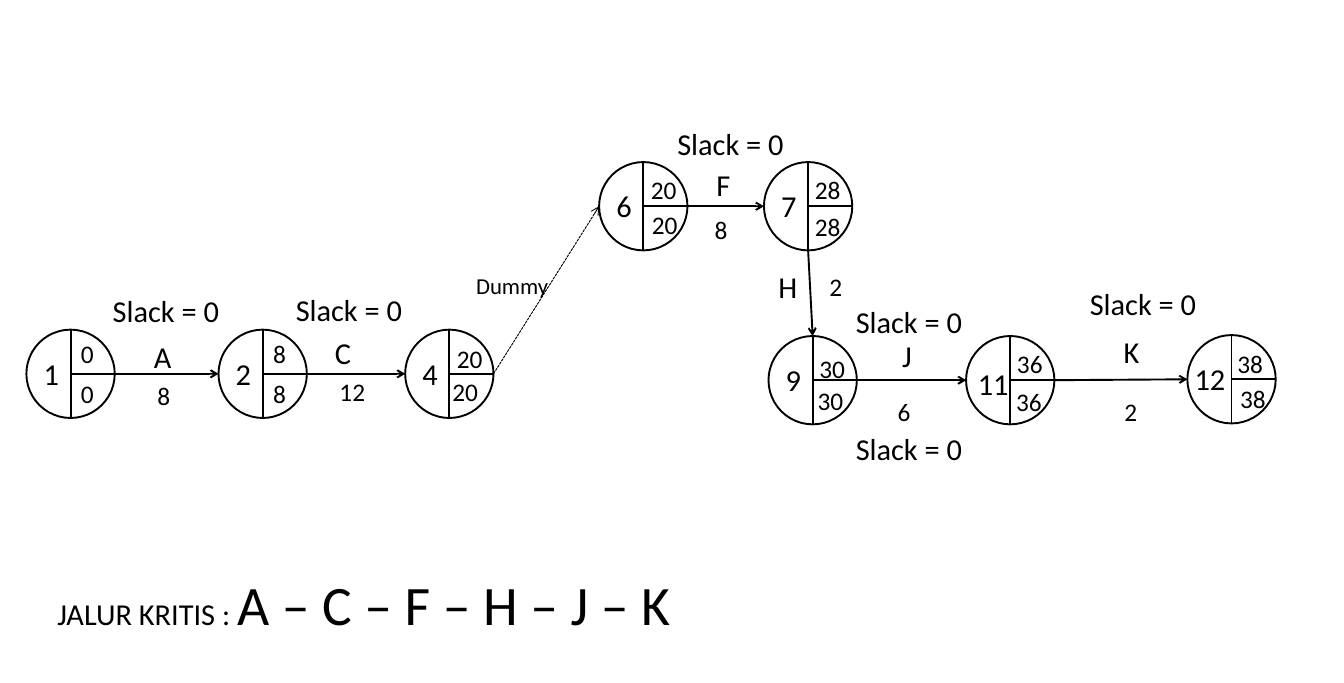
"""Draws the critical path network of a project on one slide."""
from lxml import etree
from pptx import Presentation
from pptx.dml.color import RGBColor
from pptx.enum.dml import MSO_LINE
from pptx.enum.shapes import MSO_CONNECTOR, MSO_SHAPE
from pptx.enum.text import MSO_ANCHOR, MSO_AUTO_SIZE, PP_ALIGN
from pptx.oxml.ns import qn
from pptx.util import Inches, Pt

STRAIGHT = MSO_CONNECTOR.STRAIGHT
ELLIPSE = MSO_SHAPE.OVAL
DASHED = MSO_LINE.SQUARE_DOT
TOP = MSO_ANCHOR.TOP
GROW = MSO_AUTO_SIZE.SHAPE_TO_FIT_TEXT
LEFT = PP_ALIGN.LEFT
TITLE_ONLY = 5
DIAMETER = 0.97
RADIUS = DIAMETER / 2

# number: (left, top, time, number offset, earliest offset, latest offset)
EVENTS = {
    1: (0.29, 3.62, 0, (0.09, 0.23), (0.5, 0.04), (0.5, 0.48)),
    2: (2.4, 3.62, 8, (0.09, 0.23), (0.5, 0.04), (0.5, 0.48)),
    4: (4.45, 3.62, 20, (0.09, 0.23), (0.47, 0.1), (0.42, 0.46)),
    6: (6.58, 1.78, 20, (0.09, 0.23), (0.47, 0.08), (0.48, 0.47)),
    7: (8.39, 1.78, 28, (0.09, 0.23), (0.46, 0.08), (0.46, 0.49)),
    9: (8.44, 3.69, 30, (0.09, 0.23), (0.46, 0.14), (0.44, 0.49)),
    11: (10.61, 3.69, 36, (0.03, 0.27), (0.46, 0.08), (0.45, 0.5)),
    12: (13.04, 3.68, 38, (-0.02, 0.23), (0.45, 0.09), (0.48, 0.48)),
}
# activity: (from, to, duration, name place, duration place)
ACTIVITIES = {
    "A": (1, 2, 8, (1.59, 3.66), (1.63, 4.13)),
    "C": (2, 4, 12, (3.58, 3.62), (3.63, 4.08)),
    "F": (6, 7, 8, (7.77, 1.78), (7.75, 2.3)),
    "H": (7, 9, 2, (8.45, 2.89), (9.01, 2.93)),
    "J": (9, 11, 6, (9.81, 3.65), (9.76, 4.3)),
    "K": (11, 12, 2, (12.24, 3.61), (12.25, 4.3)),
}
SLACKS = [(1.14, 3.16), (3.15, 3.15), (7.34, 1.33),
          (9.3, 4.68), (11.87, 3.08), (9.3, 3.28)]


def color(hex_code):
    """Turn a hex string into a colour."""
    return RGBColor.from_string(hex_code)


class NetworkSlide:
    """Holds the slide and the style of the network diagram."""

    font = "Calibri"
    ink = "000000"

    def __init__(self, slide):
        """Keep the slide to draw on."""
        self.slide = slide

    def style(self, font, size):
        """Apply the common typeface and colour."""
        font.name = self.font
        font.size = Pt(size)
        font.color.rgb = color(self.ink)

    def label(self, text, place, size, width=None):
        """Write a left-aligned label, sized by its length unless given a width."""
        text = str(text)
        width = width or (0.31 if len(text) == 1 else 0.56)
        height = size / 60 + 0.1
        box = self.slide.shapes.add_textbox(
            *map(Inches, (*place, width, height)))
        frame = box.text_frame
        frame.word_wrap = True
        frame.auto_size = GROW
        paragraph = frame.paragraphs[0]
        paragraph.text = text
        self.style(paragraph.font, size)

    def line(self, start, end, weight=1.5, arrow=False, dash=None):
        """Draw a straight line, with an arrowhead at its end if asked."""
        connector = self.slide.shapes.add_connector(
            STRAIGHT, *map(Inches, (*start, *end)))
        connector.line.color.rgb = color(self.ink)
        connector.line.width = Pt(weight)
        if dash:
            connector.line.dash_style = dash
        properties = connector._element.spPr
        if arrow:
            outline = properties.find(qn("a:ln"))
            etree.SubElement(outline, qn("a:tailEnd"), type="arrow")
        etree.SubElement(properties, qn("a:effectLst"))

    def event(self, number, left, top, time, number_at, earliest_at, latest_at):
        """Draw an event circle with its number and two times."""
        circle = self.slide.shapes.add_shape(
            ELLIPSE, *map(Inches, (left, top, DIAMETER, DIAMETER)))
        circle.shadow.inherit = False
        circle.fill.background()
        circle.line.color.rgb = color(self.ink)
        circle.line.width = Pt(1.5)
        middle, center = left + RADIUS, top + RADIUS
        self.line((middle, top), (middle, top + DIAMETER))
        self.line((left + DIAMETER, center), (middle, center))
        for text, (dx, dy), size in ((number, number_at, 24),
                                     (time, earliest_at, 20),
                                     (time, latest_at, 20)):
            self.label(text, (left + dx, top + dy), size)

    def arrow(self, source, target, weight=1.5, dash=None):
        """Link two events, downwards when one stands below the other."""
        (x1, y1), (x2, y2) = EVENTS[source][:2], EVENTS[target][:2]
        if x2 - x1 < DIAMETER:
            start, end = (x1 + RADIUS, y1 + DIAMETER), (x2 + RADIUS, y2)
        else:
            start, end = (x1 + DIAMETER, y1 + RADIUS), (x2, y2 + RADIUS)
        self.line(start, end, weight, True, dash)

    def title(self, heading, critical_path):
        """Write the critical path in the title placeholder."""
        title = self.slide.shapes.title
        title.left, title.top, title.width, title.height = map(
            Inches, (0.53, 6.21, 8.37, 0.84))
        frame = title.text_frame
        frame.word_wrap = True
        frame.auto_size = GROW
        frame.vertical_anchor = TOP
        paragraph = frame.paragraphs[0]
        paragraph.alignment = LEFT
        for text, size in ((heading, 24), (critical_path, 44)):
            run = paragraph.add_run()
            run.text = text
            self.style(run.font, size)


def main():
    """Build and save the slide."""
    deck = Presentation()
    deck.slide_width, deck.slide_height = Inches(14.76), Inches(7.5)
    network = NetworkSlide(
        deck.slides.add_slide(deck.slide_layouts[TITLE_ONLY]))
    for number, details in EVENTS.items():
        network.event(number, *details)
    for name, (source, target, duration, name_at, time_at) in ACTIVITIES.items():
        network.arrow(source, target)
        network.label(name, name_at, 24)
        network.label(duration, time_at, 20)
    network.arrow(4, 6, 0.75, DASHED)
    network.label("Dummy", (5.13, 2.94), 18, 2.04)
    for place in SLACKS:
        network.label("Slack = 0", place, 24, 2.04)
    network.title("JALUR KRITIS : ", " – ".join(ACTIVITIES))
    deck.save("out.pptx")


if __name__ == "__main__":
    main()
